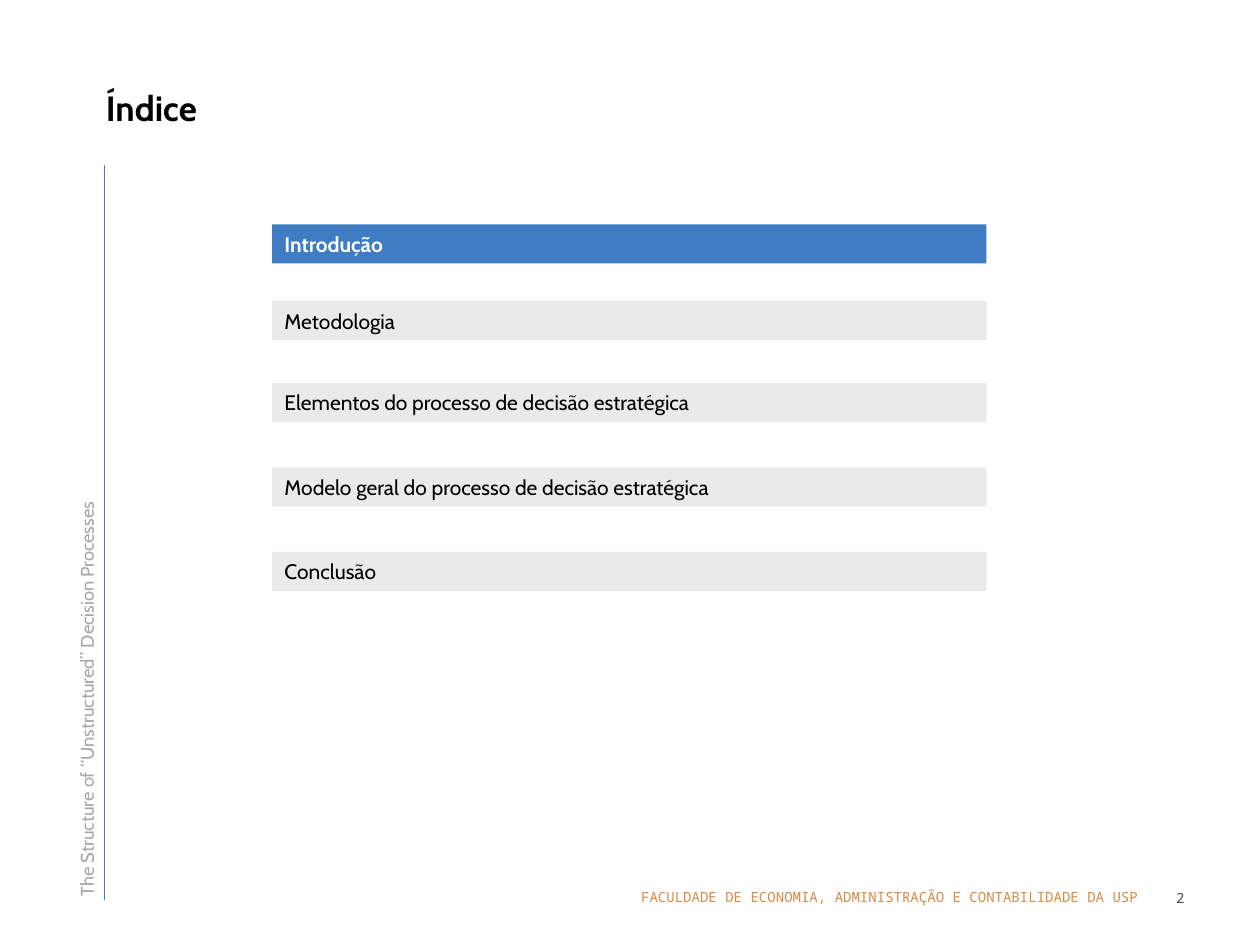
from dataclasses import dataclass

from lxml import etree
from pptx import Presentation
from pptx import util as u
from pptx.dml.color import RGBColor
from pptx.enum import shapes, text
from pptx.oxml.ns import qn


@dataclass(frozen=True)
class Theme:
    font: str = "Cabin"
    mono: str = "Noto Sans Mono"
    blue: str = "407CC4"
    bar: str = "EAEAEA"
    black: str = "000000"
    white: str = "FFFFFF"
    orange: str = "D58B46"
    side_grey: str = "A6A6A6"
    number_grey: str = "4D4D4D"
    title_size: float = 20
    item_size: float = 12
    side_size: float = 10.5
    small_size: float = 8


@dataclass(frozen=True)
class Box:
    left: float
    top: float
    width: float
    height: float

    def lengths(self):
        return [u.Inches(v) for v in (self.left, self.top, self.width, self.height)]


@dataclass(frozen=True)
class AgendaItem:
    label: str
    top: float
    current: bool = False


THEME = Theme()
BAR_LEFT, BAR_WIDTH, BAR_HEIGHT = 2.16, 5.67, 0.31
AGENDA = [
    AgendaItem("Introdução", 1.78, current=True),
    AgendaItem("Metodologia", 2.39),
    AgendaItem("Elementos do processo de decisão estratégica", 3.04),
    AgendaItem("Modelo geral do processo de decisão estratégica", 3.71),
    AgendaItem("Conclusão", 4.38),
]


def write(sp, content: str, size: float, color: str, font: str = THEME.font,
          bold: bool = False, align=text.PP_ALIGN.LEFT,
          anchor=text.MSO_ANCHOR.TOP, wrap: bool = True) -> None:
    tf = sp.text_frame
    tf.text = content
    tf.word_wrap = wrap
    tf.vertical_anchor = anchor
    p = tf.paragraphs[0]
    p.alignment = align
    r = p.runs[0]
    r.font.name = font
    r.font.size = u.Pt(size)
    r.font.bold = bold
    r.font.color.rgb = RGBColor.from_string(color)


def add_text(s, box: Box, content: str, size: float, color: str, **style):
    sp = s.shapes.add_textbox(*box.lengths())
    write(sp, content, size, color, **style)
    return sp


def add_title(s, content: str) -> None:
    sp = s.shapes.title
    sp.left, sp.top, sp.width, sp.height = Box(0.74, 0.44, 8.51, 0.63).lengths()
    write(sp, content, THEME.title_size, THEME.black, bold=True,
          anchor=text.MSO_ANCHOR.BOTTOM)


def add_side_rule(s) -> None:
    x = u.Inches(0.83)
    line = s.shapes.add_connector(shapes.MSO_CONNECTOR.STRAIGHT,
                                  x, u.Inches(7.14), x, u.Inches(1.31))
    line.line.color.rgb = RGBColor.from_string(THEME.blue)
    line.line.width = u.Pt(0.75)
    etree.SubElement(line._element.spPr, qn("a:effectLst"))


def add_agenda_bar(s, item: AgendaItem) -> None:
    box = Box(BAR_LEFT, item.top, BAR_WIDTH, BAR_HEIGHT)
    sp = s.shapes.add_shape(shapes.MSO_SHAPE.RECTANGLE, *box.lengths())
    sp.shadow.inherit = False
    sp.fill.solid()
    sp.fill.fore_color.rgb = RGBColor.from_string(THEME.blue if item.current else THEME.bar)
    sp.line.fill.background()
    write(sp, item.label, THEME.item_size, THEME.white if item.current else THEME.black,
          bold=item.current, anchor=text.MSO_ANCHOR.MIDDLE, wrap=False)


def main() -> None:
    prs = Presentation()
    prs.slide_width, prs.slide_height = u.Inches(10), u.Inches(7.5)
    s = prs.slides.add_slide(prs.slide_layouts.get_by_name("Title Only"))

    add_text(s, Box(4.06, 7, 5.08, 0.23),
             "FACULDADE DE ECONOMIA, ADMINISTRAÇÃO E CONTABILIDADE DA USP",
             THEME.small_size, THEME.orange, font=THEME.mono, align=text.PP_ALIGN.RIGHT)
    add_side_rule(s)
    side = add_text(s, Box(-1.12, 5.26, 3.62, 0.28),
                    "The Structure of “Unstructured” Decision Processes",
                    THEME.side_size, THEME.side_grey)
    side.rotation = 270
    add_text(s, Box(8.78, 7.01, 0.72, 0.52), "2", THEME.small_size, THEME.number_grey,
             font=THEME.mono, align=text.PP_ALIGN.RIGHT)
    add_title(s, "Índice")
    for item in AGENDA:
        add_agenda_bar(s, item)

    prs.save("out.pptx")


if __name__ == "__main__":
    main()
